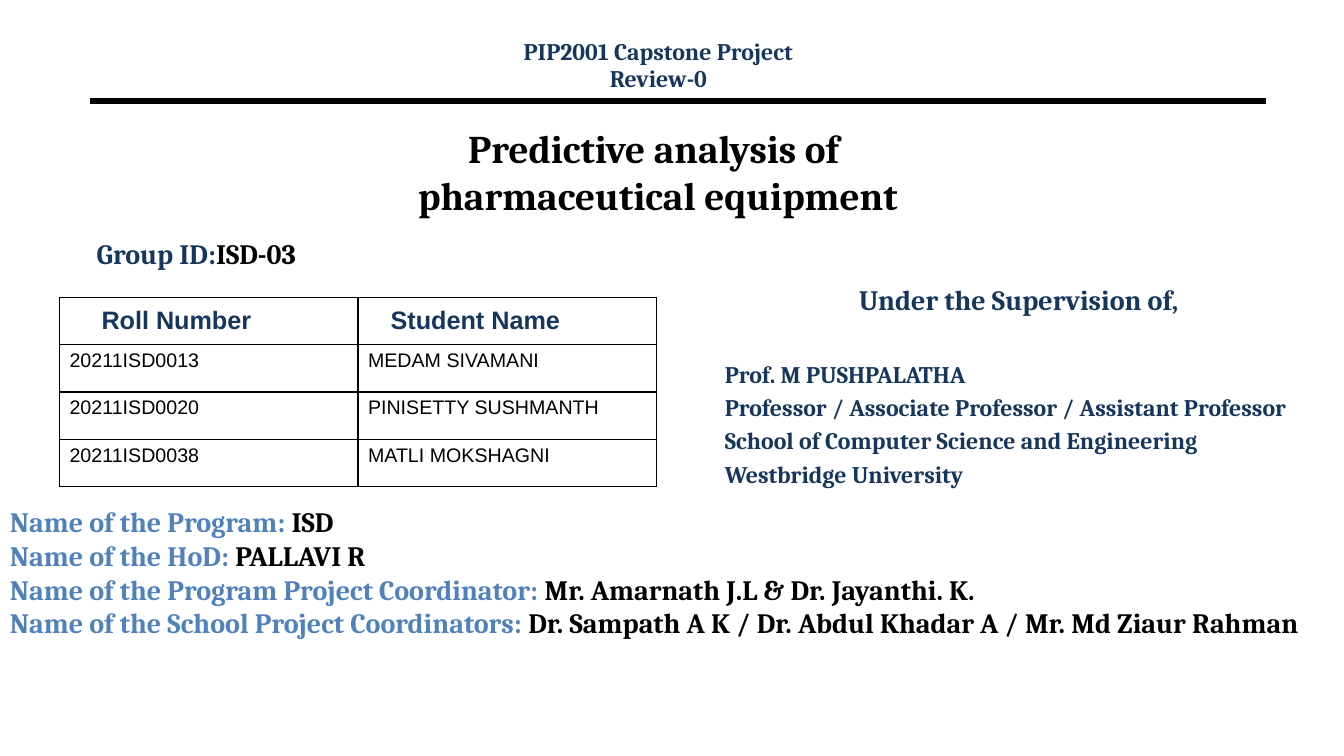
import dataclasses

import lxml.etree
import pptx
import pptx.dml.color
import pptx.enum.shapes
import pptx.enum.text
import pptx.oxml.ns
import pptx.util

Inches = pptx.util.Inches
Pt = pptx.util.Pt
Align = pptx.enum.text.PP_ALIGN
Anchor = pptx.enum.text.MSO_ANCHOR
qualified = pptx.oxml.ns.qn

COLORS = {"black": "000000", "navy": "17365D", "blue": "4F81BD"}


@dataclasses.dataclass
class Line:
    runs: list[tuple[str, str]]
    size: float = 20
    align: Align = Align.LEFT
    before: float = 0
    spacing: float = 1


@dataclasses.dataclass
class TextBlock:
    left: float
    top: float
    width: float
    height: float
    lines: list[Line]
    anchor: Anchor = Anchor.TOP


@dataclasses.dataclass
class Grid:
    left: float
    top: float
    column_widths: list[float]
    row_height: float
    rows: list[tuple[str, str]]
    size: float
    ink: str
    bold: bool
    bordered: bool
    align: Align
    anchor: Anchor


def color(name: str) -> pptx.dml.color.RGBColor:
    return pptx.dml.color.RGBColor.from_string(COLORS[name])


def add_text(paragraph, text: str, *, size: float = 20, ink: str = "black",
             font: str = "Cambria", bold: bool = True) -> None:
    for index, part in enumerate(text.split("\n")):
        if index:
            paragraph.add_line_break()
        run = paragraph.add_run()
        run.text = part
        run.font.size = Pt(size)
        run.font.name = font
        run.font.bold = bold
        run.font.color.rgb = color(ink)


def add_block(slide, block: TextBlock) -> None:
    shape = slide.shapes.add_textbox(
        Inches(block.left), Inches(block.top), Inches(block.width), Inches(block.height))
    frame = shape.text_frame
    frame.word_wrap = True
    frame.vertical_anchor = block.anchor
    for index, line in enumerate(block.lines):
        paragraph = frame.add_paragraph() if index else frame.paragraphs[0]
        paragraph.alignment = line.align
        paragraph.space_before = Pt(line.before)
        paragraph.line_spacing = line.spacing
        for text, ink in line.runs:
            add_text(paragraph, text, size=line.size, ink=ink)


def add_rule(slide) -> None:
    rule = slide.shapes.add_connector(
        pptx.enum.shapes.MSO_CONNECTOR.STRAIGHT,
        Inches(0.89), Inches(1), Inches(12.56), Inches(1))
    rule.line.color.rgb = color("black")
    rule.line.width = Pt(4.5)
    lxml.etree.SubElement(rule.element.spPr, qualified("a:effectLst"))


def add_borders(cell, visible: bool) -> None:
    properties = cell._tc.get_or_add_tcPr()
    for edge in ("lnL", "lnR", "lnT", "lnB"):
        border = lxml.etree.SubElement(
            properties, qualified(f"a:{edge}"), w=str(Pt(1)))
        if visible:
            fill = lxml.etree.SubElement(border, qualified("a:solidFill"))
            lxml.etree.SubElement(fill, qualified("a:srgbClr"), val=COLORS["black"])
        else:
            lxml.etree.SubElement(border, qualified("a:noFill"))


def add_grid(slide, grid: Grid) -> None:
    table = slide.shapes.add_table(
        len(grid.rows), len(grid.column_widths), Inches(grid.left), Inches(grid.top),
        Inches(sum(grid.column_widths)), Inches(grid.row_height * len(grid.rows))).table
    table.first_row = False
    table.horz_banding = False
    for column, width in zip(table.columns, grid.column_widths):
        column.width = Inches(width)
    for row_index, row in enumerate(grid.rows):
        table.rows[row_index].height = Inches(grid.row_height)
        for column_index, text in enumerate(row):
            cell = table.cell(row_index, column_index)
            add_borders(cell, grid.bordered)
            cell.fill.background()
            cell.vertical_anchor = grid.anchor
            paragraph = cell.text_frame.paragraphs[0]
            paragraph.alignment = grid.align
            if text:
                add_text(paragraph, text, size=grid.size, ink=grid.ink,
                         font="Arial", bold=grid.bold)


BLOCKS = [
    TextBlock(0.86, 1.17, 11.33, 1.05, [
        Line([("Predictive analysis of \npharmaceutical equipment", "black")],
             size=28, align=Align.CENTER),
    ], Anchor.MIDDLE),
    TextBlock(0.86, 2.3, 4.34, 0.6, [Line([("Group ID:", "navy"), ("ISD-03", "black")])]),
    TextBlock(7.09, 2.75, 6.03, 2.21, [
        Line([("Under the Supervision of,", "navy")], align=Align.CENTER),
        Line([("Prof. M PUSHPALATHA", "navy")], size=17, before=31),
        *(Line([(text, "navy")], size=17, before=3.4) for text in (
            "Professor / Associate Professor / Assistant Professor",
            "School of Computer Science and Engineering",
            "Westbridge University")),
    ]),
    TextBlock(4.36, 0.37, 4.34, 0.6, [
        Line([(text, "navy")], size=17, align=Align.CENTER, before=before, spacing=0.8)
        for text, before in (("PIP2001 Capstone Project", 0), ("Review-0", 3.1))
    ]),
    TextBlock(0, 4.96, 13.33, 1.71, [
        Line([(f"Name of the {role}: ", "blue"), (name, "black")])
        for role, name in (
            ("Program", "ISD"),
            ("HoD", "PALLAVI R"),
            ("Program Project Coordinator", "Mr. Amarnath J.L & Dr. Jayanthi. K."),
            ("School Project Coordinators",
             "Dr. Sampath A K / Dr. Abdul Khadar A / Mr. Md Ziaur Rahman"))
    ]),
]

EMPTY_ROW = ("", "")

GRIDS = [
    Grid(0.61, 2.98, [2.28, 3.65], 0.33,
         [("Roll Number", "Student Name"), *[EMPTY_ROW] * 5],
         18, "navy", True, False, Align.CENTER, Anchor.MIDDLE),
    Grid(0.59, 2.95, [2.96, 2.96], 0.47,
         [EMPTY_ROW,
          ("20211ISD0013", "MEDAM SIVAMANI"),
          ("20211ISD0020", "PINISETTY SUSHMANTH"),
          ("20211ISD0038", "MATLI MOKSHAGNI")],
         14, "black", False, True, Align.LEFT, Anchor.TOP),
]


def main() -> None:
    presentation = pptx.Presentation()
    presentation.slide_width = Inches(13.33)
    presentation.slide_height = Inches(7.5)
    slide = presentation.slides.add_slide(presentation.slide_layouts[6])
    add_rule(slide)
    for block in BLOCKS:
        add_block(slide, block)
    for grid in GRIDS:
        add_grid(slide, grid)
    presentation.save("out.pptx")


if __name__ == "__main__":
    main()
